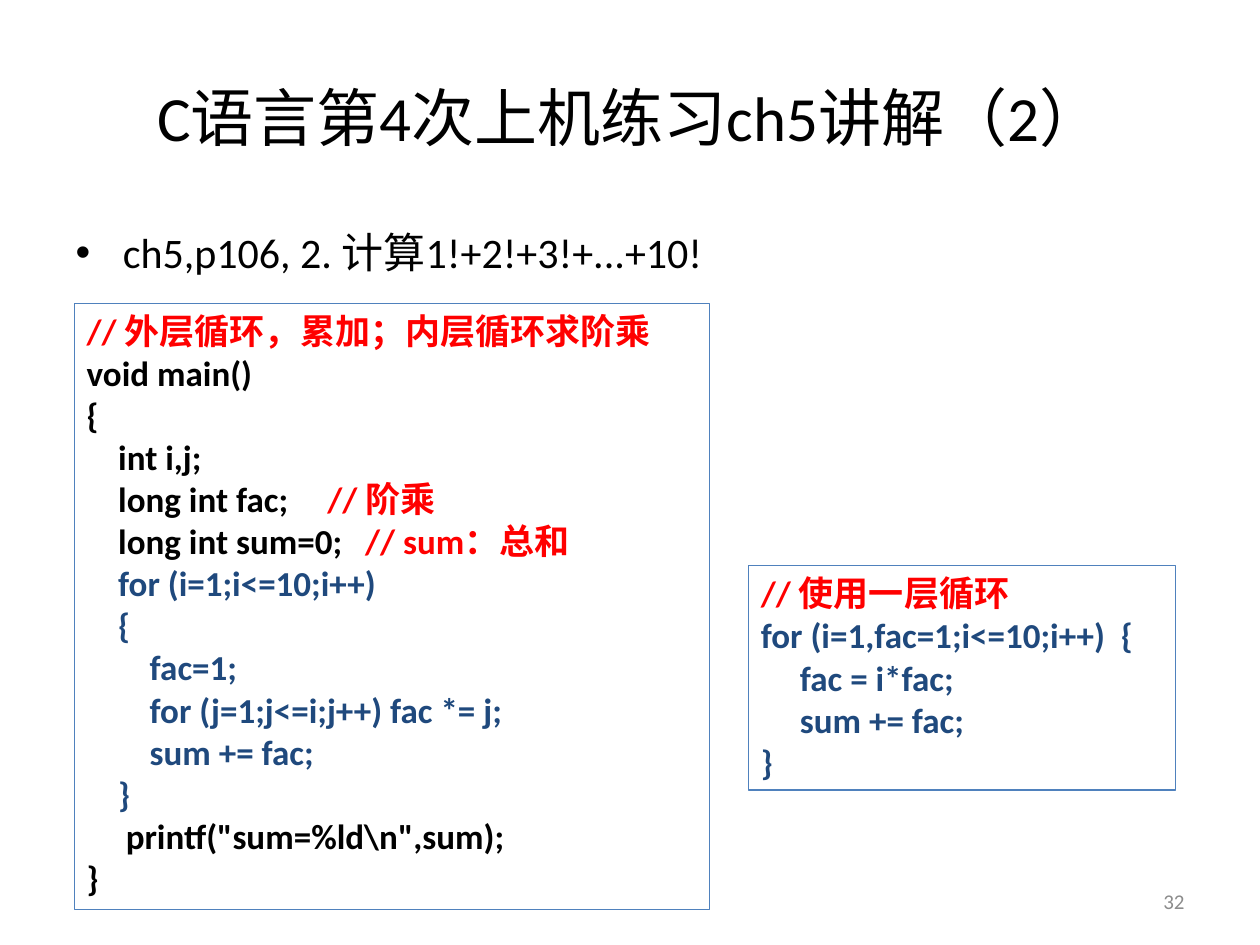
from lxml import etree
from pptx import Presentation
from pptx import util as u
from pptx.dml.color import RGBColor
from pptx.enum import text as t
from pptx.oxml import ns

BLACK = RGBColor(0, 0, 0)
RED = RGBColor(0xFF, 0, 0)
NAVY = RGBColor(0x1F, 0x49, 0x7D)
BLUE = RGBColor(0x4F, 0x81, 0xBD)
GRAY = RGBColor(0x8C, 0x8C, 0x8C)
FONT = "Calibri"

TITLE = "C语言第4次上机练习ch5讲解（2）"
TASK = "ch5,p106, 2. 计算1!+2!+3!+...+10!"
PAGE = "32"

STEP = 0.25
NESTED = [
    ([], [("// 外层循环，累加；内层循环求阶乘", RED)]),
    ([], [("void main()", BLACK)]),
    ([], [("{", BLACK)]),
    ([STEP], [("\tint i,j;", BLACK)]),
    ([STEP, 1.91], [("\tlong int fac;\t", BLACK), ("// 阶乘", RED)]),
    ([STEP, 2.21], [("\tlong int sum=0;\t", BLACK), ("// sum：总和", RED)]),
    ([STEP], [("\tfor (i=1;i<=10;i++)", NAVY)]),
    ([STEP], [("\t{", NAVY)]),
    ([2 * STEP], [("\tfac=1;", NAVY)]),
    ([2 * STEP], [("\tfor (j=1;j<=i;j++) fac *= j;", NAVY)]),
    ([2 * STEP], [("\tsum += fac;", NAVY)]),
    ([STEP], [("\t}", NAVY)]),
    ([0.31], [("\tprintf(\"sum=%ld\\n\",sum);", BLACK)]),
    ([], [("}", BLACK)]),
]
SINGLE = [
    ([], [("// 使用一层循环", RED)]),
    ([], [("for (i=1,fac=1;i<=10;i++)  {", NAVY)]),
    ([0.31], [("\tfac = i*fac;", NAVY)]),
    ([0.31], [("\tsum += fac;", NAVY)]),
    ([], [("}", NAVY)]),
]
BOXES = [
    ((0.59, 2.41, 5.04, 4.81), NESTED),
    ((5.94, 4.49, 3.39, 1.78), SINGLE),
]


def place(shape, *spot):
    shape.left, shape.top, shape.width, shape.height = map(u.Inches, spot)


def add_run(para, words, size, color, bold=None):
    run = para.add_run()
    run.text = words
    font = run.font
    font.name, font.size, font.bold = FONT, u.Pt(size), bold
    font.color.rgb = color


def set_tabs(para, stops):
    tabs = etree.SubElement(para._p.get_or_add_pPr(), ns.qn("a:tabLst"))
    for stop in stops:
        etree.SubElement(tabs, ns.qn("a:tab"), pos=str(u.Inches(stop)), algn="l")


def add_code(slide, spot, lines):
    box = slide.shapes.add_textbox(*map(u.Inches, spot))
    box.line.color.rgb = BLUE
    box.line.width = u.Pt(0.75)
    frame = box.text_frame
    frame.word_wrap = True
    frame.auto_size = t.MSO_AUTO_SIZE.SHAPE_TO_FIT_TEXT
    for i, (stops, runs) in enumerate(lines):
        para = frame.add_paragraph() if i else frame.paragraphs[0]
        if stops:
            set_tabs(para, stops)
        for words, color in runs:
            add_run(para, words, 20, color, True)


def main():
    deck = Presentation()
    deck.slide_width, deck.slide_height = u.Inches(10), u.Inches(7.5)
    slide = deck.slides.add_slide(deck.slide_layouts[1])

    title, body = slide.placeholders
    place(title, 0.5, 0.3, 9, 1.25)
    add_run(title.text_frame.paragraphs[0], TITLE, 36, BLACK)
    place(body, 0.5, 1.75, 9, 4.95)
    add_run(body.text_frame.paragraphs[0], TASK, 24, BLACK)

    for spot, lines in BOXES:
        add_code(slide, spot, lines)

    page = slide.shapes.add_textbox(*map(u.Inches, (7.17, 6.95, 2.33, 0.4)))
    page.text_frame.word_wrap = True
    page.text_frame.vertical_anchor = t.MSO_ANCHOR.MIDDLE
    para = page.text_frame.paragraphs[0]
    para.alignment = t.PP_ALIGN.RIGHT
    add_run(para, PAGE, 12, GRAY)

    deck.save("out.pptx")


if __name__ == "__main__":
    main()
